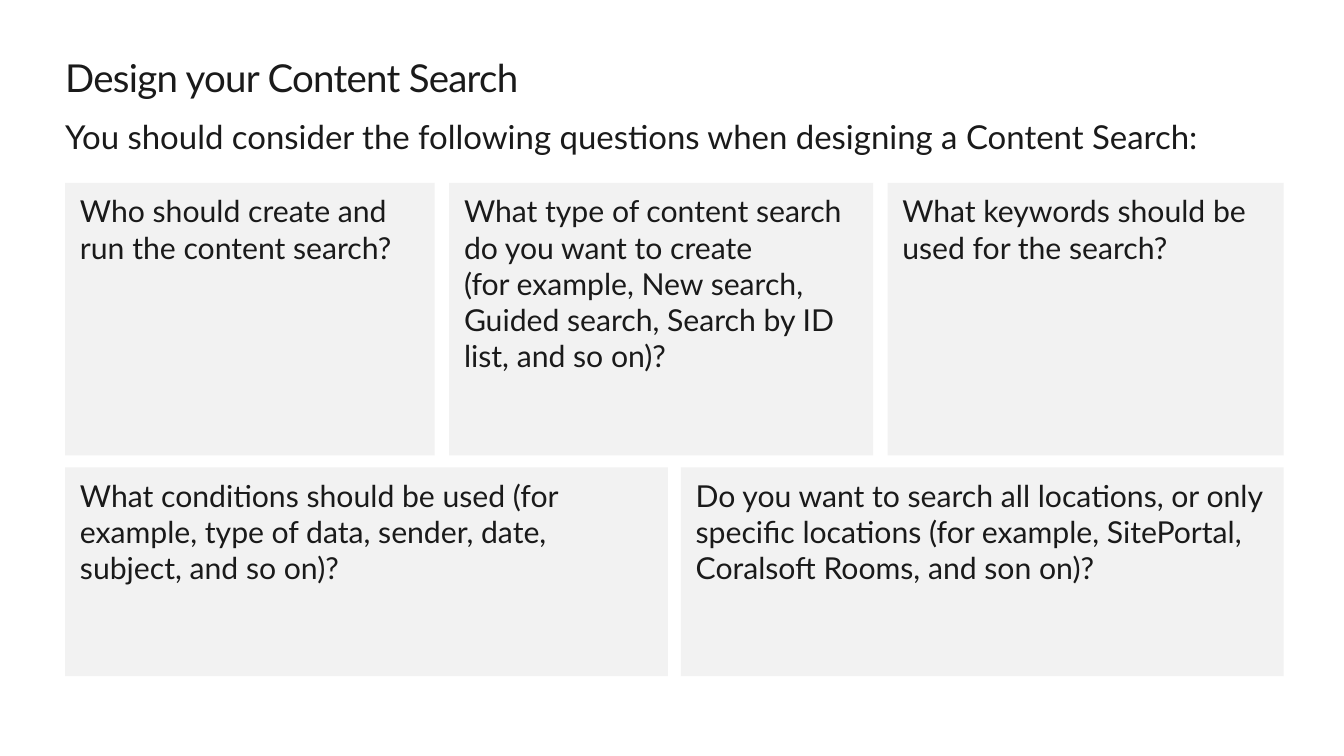
"""Build a slide listing the questions to settle before a Content Search."""
from dataclasses import dataclass

from pptx import Presentation
from pptx.dml.color import RGBColor
from pptx.enum import shapes, text
from pptx.util import Pt


@dataclass(frozen=True)
class Theme:
    font: str = "Lato"
    ink: RGBColor = RGBColor(0x1A, 0x1A, 0x1A)
    card: RGBColor = RGBColor(0xF2, 0xF2, 0xF2)
    title_size: float = 28
    lead_size: float = 24
    card_size: float = 22


theme = Theme()
LEFT, WIDTH = 47.5, 887.8


def write(box, wording, size, inset_x=0, inset_y=0):
    frame = box.text_frame
    frame.word_wrap = True
    frame.vertical_anchor = text.MSO_ANCHOR.TOP
    frame.margin_left = frame.margin_right = Pt(inset_x)
    frame.margin_top = frame.margin_bottom = Pt(inset_y)
    para = frame.paragraphs[0]
    para.text = wording
    para.alignment = text.PP_ALIGN.LEFT
    for span in para.runs:
        span.font.name = theme.font
        span.font.size = Pt(size)
        span.font.color.rgb = theme.ink
    return para


deck = Presentation()
deck.slide_width, deck.slide_height = Pt(979.2), Pt(550.8)
page = deck.slides.add_slide(deck.slide_layouts[6])

title_box = page.shapes.add_textbox(Pt(LEFT), Pt(39.6), Pt(885), Pt(34.6))
title = write(title_box, "Design your Content Search", theme.title_size)
for span in title.runs:
    span.font._element.set("spc", "-50")

lead_box = page.shapes.add_textbox(Pt(LEFT), Pt(85), Pt(885), Pt(48))
write(lead_box, "You should consider the following questions when designing a Content Search:",
      theme.lead_size)

card_rows = [
    (133.2, 198.7, [
        (269.3, "Who should create and run the content search?"),
        (308.9, "What type of content search do you want to create\n"
                "(for example, New search, Guided search, Search by ID list, and so on)?"),
        (288.7, "What keywords should be used for the search?"),
    ]),
    (340.6, 152, [
        (439.2, "What conditions should be used (for example, type of data, sender, date, "
                "subject, and so on)?"),
        (439.2, "Do you want to search all locations, or only specific locations "
                "(for example, SitePortal, Coralsoft Rooms, and son on)?"),
    ]),
]

for top, height, cards in card_rows:
    gap = (WIDTH - sum(width for width, question in cards)) / (len(cards) - 1)
    left = LEFT
    for width, question in cards:
        card = page.shapes.add_shape(shapes.MSO_SHAPE.RECTANGLE,
                                     Pt(left), Pt(top), Pt(width), Pt(height))
        card.shadow.inherit = False
        card.fill.solid()
        card.fill.fore_color.rgb = theme.card
        card.line.fill.background()
        write(card, question, theme.card_size, inset_x=10.8, inset_y=7.2)
        left += width + gap

deck.save("out.pptx")
